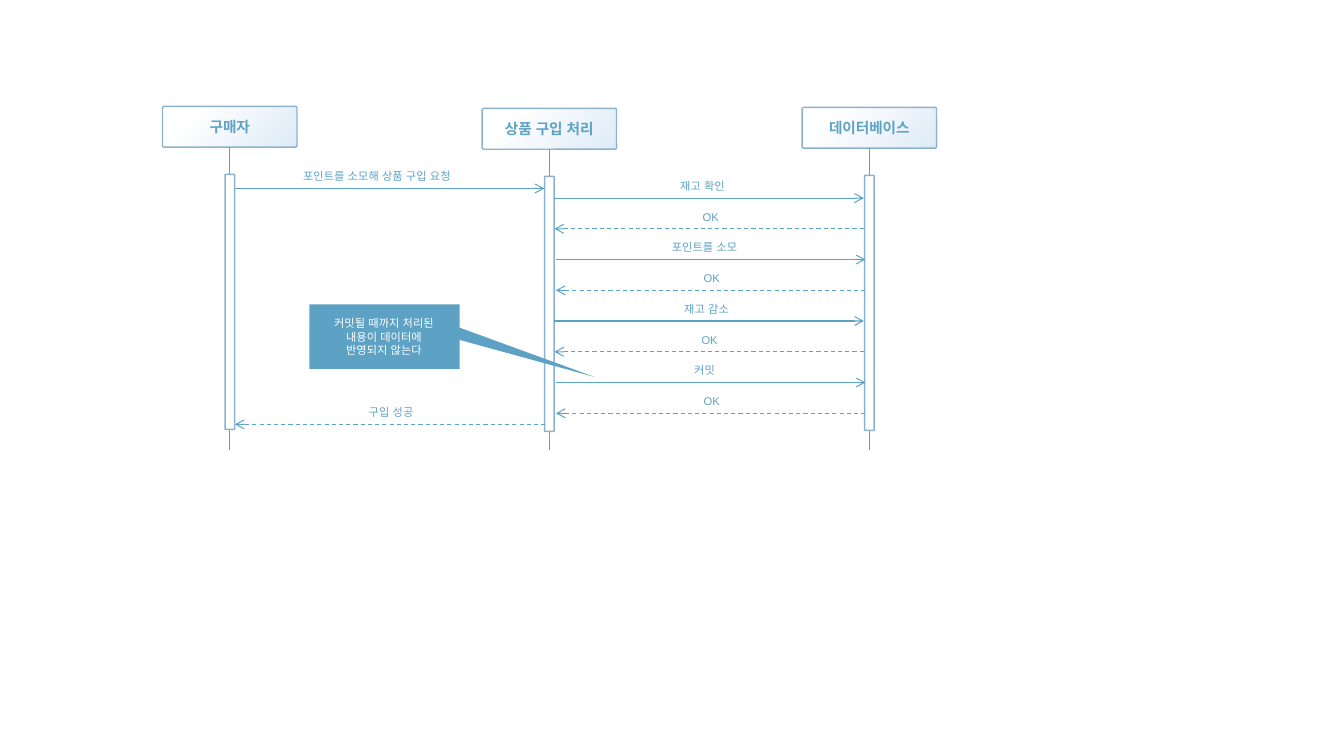
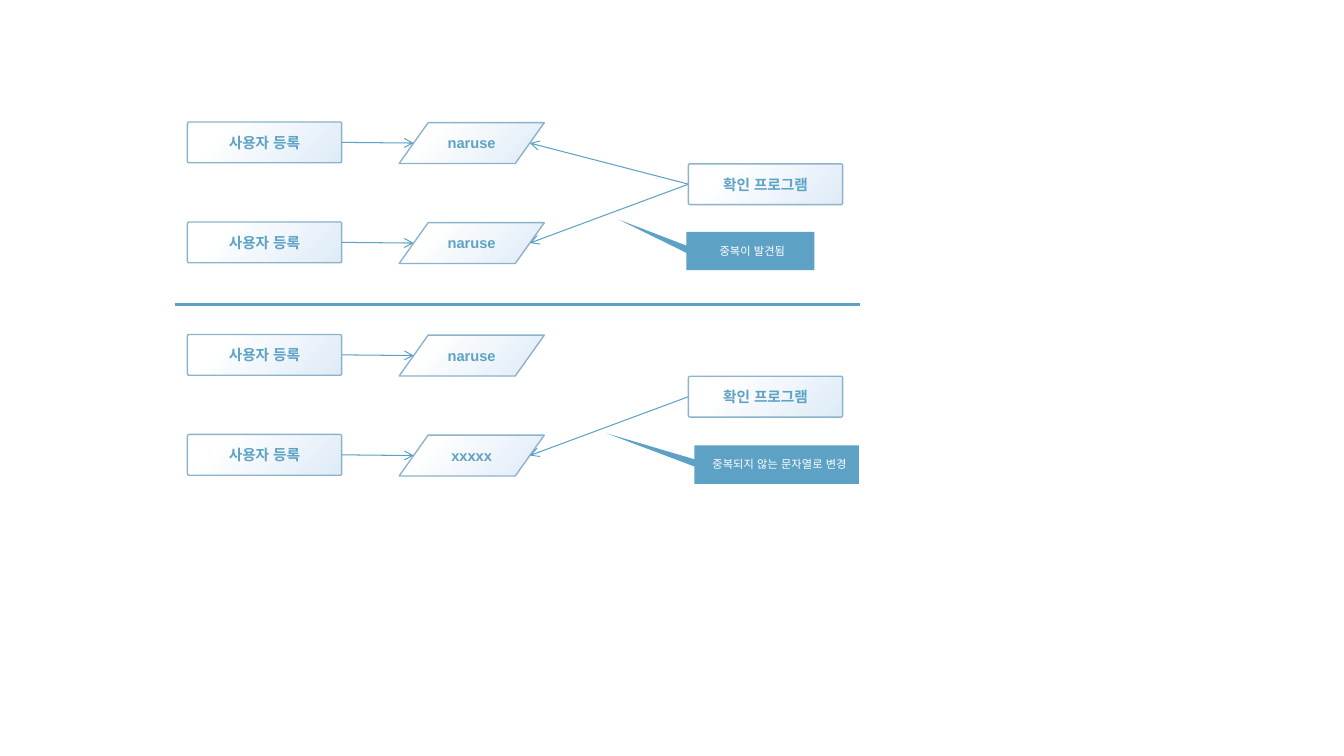
from dataclasses import dataclass

from lxml import etree
from pptx import Presentation
from pptx import util as u
from pptx.dml import color
from pptx.enum import dml, shapes, text
from pptx.oxml import ns

COLUMNS, ROWS = 133.33, 75
CELL = u.Inches(0.1)
FONT = "Arial"
BLUE, INK, EDGE, WHITE, PALE = "5DA2C5", "5EA2C4", "8DB3CC", "FFFFFF", "DEEBF7"
BOX_ROWS = 4.05
LABEL_ROWS = 2.4
BAR_COLUMNS = 0.94
BAR_ROWS = 25.3


@dataclass(frozen=True)
class Area:
    left: float
    top: float
    width: float
    height: float

    @property
    def right(self) -> float:
        return self.left + self.width

    @property
    def bottom(self) -> float:
        return self.top + self.height

    @property
    def middle(self) -> float:
        return self.top + self.height / 2


@dataclass(frozen=True)
class Participant:
    name: str
    centre: float
    top: float


@dataclass(frozen=True)
class Message:
    name: str
    centre: float
    row: float
    sender: float
    receiver: float
    dashed: bool


@dataclass(frozen=True)
class Callout:
    body: Area
    tip: tuple[float, float]
    label: Area
    words: str


@dataclass(frozen=True)
class Scenario:
    top: float
    user_ids: tuple[str, ...]
    checked: tuple[int, ...]
    callout: Callout


def cells(count: float) -> u.Emu:
    return u.Emu(round(count * CELL))


def place(area: Area) -> tuple[u.Emu, ...]:
    return tuple(cells(n) for n in (area.left, area.top, area.width, area.height))


def rgb(value: str) -> color.RGBColor:
    return color.RGBColor.from_string(value)


def write(shape, words: str, size: float, ink: str, bold: bool = False) -> None:
    frame = shape.text_frame
    frame.margin_left = frame.margin_right = frame.margin_top = frame.margin_bottom = 0
    frame.word_wrap = True
    frame.vertical_anchor = text.MSO_ANCHOR.MIDDLE
    para = frame.paragraphs[0]
    para.text = words
    para.alignment = text.PP_ALIGN.CENTER
    font = para.font
    font.name, font.size, font.bold = FONT, u.Pt(size), bold
    font.color.rgb = rgb(ink)
    defaults = para._p.pPr.find(ns.qn("a:defRPr"))
    etree.SubElement(defaults, ns.qn("a:ea"), typeface=FONT)


def add_label(page, area: Area, words: str, ink: str = INK) -> None:
    write(page.shapes.add_textbox(*place(area)), words, 8, ink)


def add_outlined(page, kind, area: Area):
    box = page.shapes.add_shape(kind, *place(area))
    box.shadow.inherit = False
    box.line.color.rgb = rgb(EDGE)
    box.line.width = u.Pt(1)
    if kind == shapes.MSO_SHAPE.ROUNDED_RECTANGLE:
        box.adjustments[0] = 0.04
    return box


def add_box(page, area: Area, words: str, kind=shapes.MSO_SHAPE.ROUNDED_RECTANGLE):
    box = add_outlined(page, kind, area)
    box.fill.gradient()
    box.fill.gradient_angle = 315
    for stop, position, shade in zip(box.fill.gradient_stops, (0.21, 1), (WHITE, PALE)):
        stop.position = position
        stop.color.rgb = rgb(shade)
    write(box, words, 10.5, INK, bold=True)
    return box


def add_line(page, start: tuple[float, float], end: tuple[float, float],
             width: float = 0.75, arrow: bool = False, dashed: bool = False):
    line = page.shapes.add_connector(
        shapes.MSO_CONNECTOR.STRAIGHT, *(cells(n) for n in (*start, *end)))
    line.line.color.rgb = rgb(BLUE)
    line.line.width = u.Pt(width)
    if dashed:
        line.line.dash_style = dml.MSO_LINE.DASH
    if arrow:
        etree.SubElement(line.line._get_or_add_ln(), ns.qn("a:tailEnd"), type="arrow")
    etree.SubElement(line._element.spPr, ns.qn("a:effectLst"))
    return line


def add_callout(page, callout: Callout) -> None:
    body = callout.body
    tip_on_right = callout.tip[0] > body.right
    near, far = (body.right, body.left) if tip_on_right else (body.left, body.right)
    upper, lower = (body.top + body.height * share for share in (0.36, 0.55))
    points = [(near, body.top), (far, body.top), (far, body.bottom), (near, body.bottom),
              (near, lower), callout.tip, (near, upper)]
    first, *others = [(cells(x), cells(y)) for x, y in points]
    builder = page.shapes.build_freeform(*first)
    builder.add_line_segments(others, close=True)
    outline = builder.convert_to_shape()
    outline.shadow.inherit = False
    outline.fill.solid()
    outline.fill.fore_color.rgb = rgb(BLUE)
    outline.line.fill.background()
    add_label(page, callout.label, callout.words, WHITE)


def add_participant(page, person: Participant) -> None:
    header = Area(person.centre - 6.67, person.top, 13.34, BOX_ROWS)
    box = add_box(page, header, person.name)
    lifeline = add_line(page, (person.centre, header.bottom), (person.centre, 44.6))
    lifeline.begin_connect(box, 2)
    bar_area = Area(person.centre - BAR_COLUMNS / 2, person.top + 6.75, BAR_COLUMNS, BAR_ROWS)
    bar = add_outlined(page, shapes.MSO_SHAPE.ROUNDED_RECTANGLE, bar_area)
    bar.fill.solid()
    bar.fill.fore_color.rgb = rgb(WHITE)


def add_message(page, message: Message) -> None:
    add_line(page, (message.sender, message.row), (message.receiver, message.row),
             arrow=True, dashed=message.dashed)
    label = Area(message.centre - 9.1, message.row - LABEL_ROWS, 18.2, LABEL_ROWS)
    add_label(page, label, message.name)


def database_messages() -> list[Message]:
    labels = [("재고 확인", 69.7), ("OK", 70.5), ("포인트를 소모", 69.9), ("OK", 70.6),
              ("재고 감소", 70.1), ("OK", 70.4), ("커밋", 69.9), ("OK", 70.6)]
    messages = []
    for index, (name, centre) in enumerate(labels):
        reply = index % 2 == 1
        shift = 0.15 * (index // 2 % 2)
        ends = (55 + shift, 85.7 + shift)
        sender, receiver = reversed(ends) if reply else ends
        messages.append(Message(name, centre, 19.65 + 6.1 * index / 2, sender, receiver, reply))
    return messages


def draw_purchase(page) -> None:
    for person in (Participant("구매자", 22.8, 10.55),
                   Participant("상품 구입 처리", 54.5, 10.75),
                   Participant("데이터베이스", 86.25, 10.65)):
        add_participant(page, person)
    for message in (
            Message("포인트를 소모해 상품 구입 요청", 37.4, 18.7, 23.3, 54, False),
            *database_messages(),
            Message("구입 성공", 38.8, 42.1, 54.1, 23.3, True)):
        add_message(page, message)
    add_callout(page, Callout(Area(30.7, 30.2, 14.9, 6.4), (59, 37.4), Area(32.4, 30.9, 11.4, 5),
                              "커밋될 때까지 처리된 내용이 데이터에 반영되지 않는다"))


def draw_scenario(page, scenario: Scenario) -> None:
    checker_area = Area(68.3, scenario.top + 4.15, 15.3, BOX_ROWS)
    checker = add_box(page, checker_area, "확인 프로그램")
    for index, user_id in enumerate(scenario.user_ids):
        top = scenario.top + 9.92 * index
        register_area = Area(18.6, top, 15.3, BOX_ROWS)
        data_area = Area(39.6, top + 0.07, 14.4, BOX_ROWS)
        register = add_box(page, register_area, "사용자 등록")
        add_box(page, data_area, user_id, shapes.MSO_SHAPE.FLOWCHART_DATA)
        slant = data_area.width / 10
        entry = add_line(page, (register_area.right, register_area.middle),
                         (data_area.left + slant, data_area.middle), arrow=True)
        entry.begin_connect(register, 3)
        if index in scenario.checked:
            check = add_line(page, (checker_area.left, checker_area.middle),
                             (data_area.right - slant, data_area.middle), arrow=True)
            check.begin_connect(checker, 1)
    add_callout(page, scenario.callout)


def draw_registration(page) -> None:
    found = Callout(Area(68.1, 23, 12.7, 3.8), (61.4, 21.8),
                    Area(69.5, 23.7, 10.3, LABEL_ROWS), "중복이 발견됨")
    changed = Callout(Area(68.9, 44.2, 16.3, 3.8), (60.2, 43),
                      Area(69.5, 44.8, 15.7, LABEL_ROWS), "중복되지 않는 문자열로 변경")
    draw_scenario(page, Scenario(12.1, ("naruse", "naruse"), (0, 1), found))
    draw_scenario(page, Scenario(33.18, ("naruse", "xxxxx"), (1,), changed))
    add_line(page, (17.4, 30.2), (85.3, 30.2), width=2)


def main() -> None:
    deck = Presentation()
    deck.slide_width, deck.slide_height = cells(COLUMNS), cells(ROWS)
    for draw in (draw_purchase, draw_registration):
        draw(deck.slides.add_slide(deck.slide_layouts[6]))
    deck.save("out.pptx")


if __name__ == "__main__":
    main()
